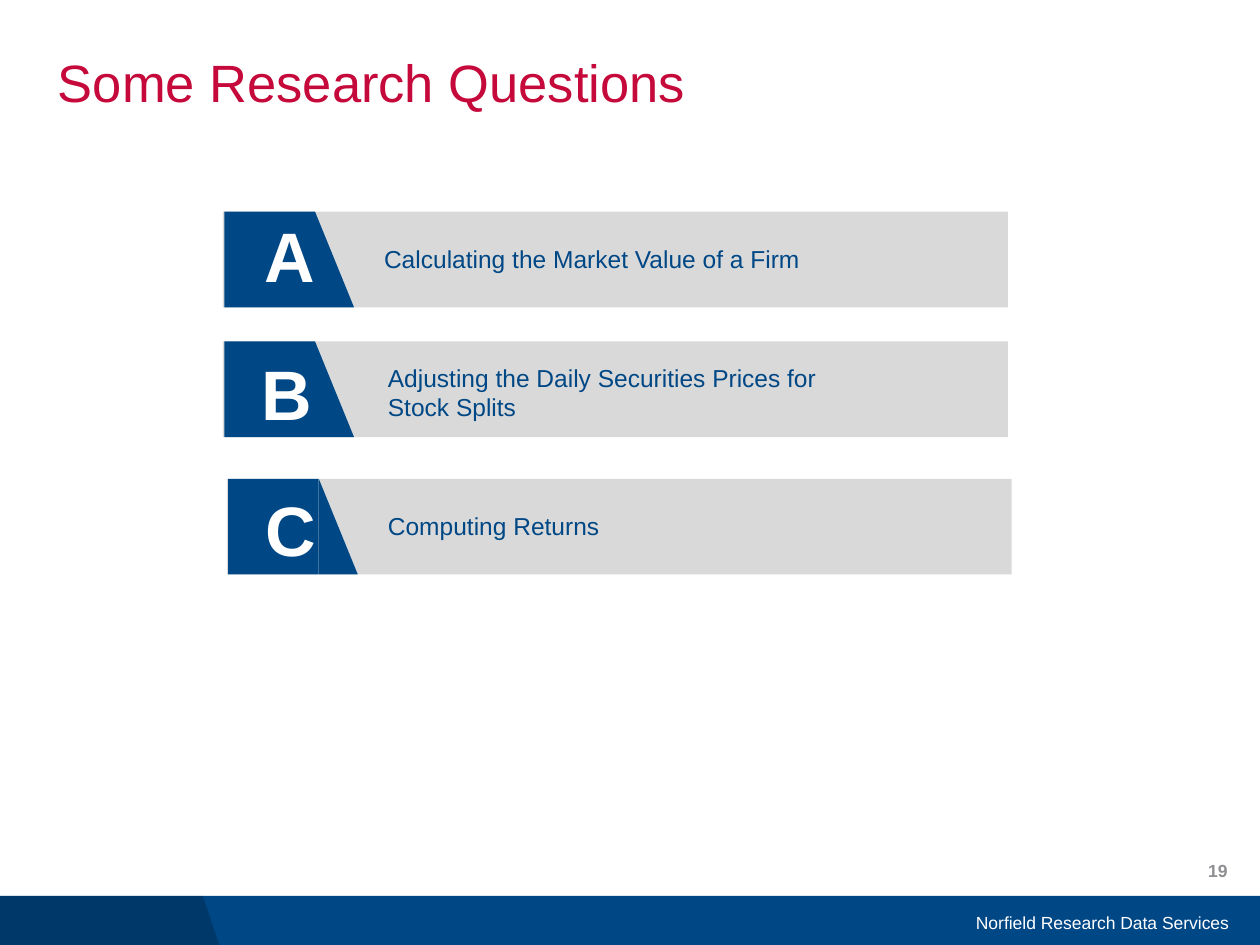
from lxml.etree import SubElement
from pptx import Presentation
from pptx.dml.color import RGBColor
from pptx.enum.shapes import MSO_SHAPE as Shape
from pptx.enum.text import MSO_ANCHOR as Anchor, MSO_AUTO_SIZE as AutoSize, PP_ALIGN as Align
from pptx.oxml.ns import qn
from pptx.util import Inches, Pt

TITLE = "Some Research Questions"
FOOTER = "Norfield Research Data Services"
PAGE_NUMBER = "19"
QUESTIONS = [
    {"letter": "A", "text": "Calculating the Market Value of a Firm",
     "bar": (1.77, 1.68), "letter_at": (2, 1.64), "text_box": (2.95, 1.89, 6.14, 0.34)},
    {"letter": "B", "text": "Adjusting the Daily Securities Prices for Stock Splits",
     "bar": (1.77, 2.71), "letter_at": (1.98, 2.73), "text_box": (2.98, 2.83, 3.89, 0.57)},
    {"letter": "C", "text": "Computing Returns",
     "bar": (1.8, 3.8), "letter_at": (2.01, 3.81), "text_box": (2.98, 4.01, 4.89, 0.34)},
]
THEME = {
    "font": "Arial",
    "blue": "004785", "red": "C5093B", "bar": "D9D9D9",
    "white": "FFFFFF", "gray": "8F8F93", "black": "000000",
    "title": 30, "letter": 40, "body": 14, "small": 10,
}
SLIDE_WIDTH, SLIDE_HEIGHT = 10, 7.5
FOOTER_TOP = 7.11
BAR_WIDTH, BAR_HEIGHT = 6.23, 0.76
TAB_OFFSET, TAB_WIDTH, SLANT_WIDTH = 0.01, 0.72, 0.31


def paint(shape, color):
    shape.shadow.inherit = False
    shape.fill.solid()
    shape.fill.fore_color.rgb = RGBColor.from_string(THEME[color])
    shape.line.fill.background()


def add_block(shapes, kind, box, color):
    shape = shapes.add_shape(kind, *map(Inches, box))
    paint(shape, color)
    return shape


def style(paragraph, size, color, bold=False, align=Align.LEFT):
    paragraph.alignment = align
    font = paragraph.font
    font.name, font.size, font.bold = THEME["font"], Pt(THEME[size]), bold
    font.color.rgb = RGBColor.from_string(THEME[color])


def add_text(shapes, text, box, size, color, bold=False, align=Align.LEFT, anchor=Anchor.TOP):
    frame = shapes.add_textbox(*map(Inches, box)).text_frame
    frame.word_wrap = True
    frame.vertical_anchor = anchor
    frame.text = text
    style(frame.paragraphs[0], size, color, bold, align)


def add_title(slide):
    title = slide.shapes.title
    title.left, title.top, title.width, title.height = map(Inches, (0.46, 0.4, 8.62, 0.56))
    frame = title.text_frame
    frame.text = TITLE
    frame.auto_size = AutoSize.NONE
    frame.vertical_anchor = Anchor.TOP
    frame.margin_left = frame.margin_right = 0
    frame.paragraphs[0].line_spacing = 0.9
    style(frame.paragraphs[0], "title", "red")


def add_footer(shapes):
    height = SLIDE_HEIGHT - FOOTER_TOP
    add_block(shapes, Shape.RECTANGLE, (0, FOOTER_TOP, SLIDE_WIDTH, height), "blue")
    builder = shapes.build_freeform(0, Inches(FOOTER_TOP))
    corners = [(1.61, FOOTER_TOP), (1.74, SLIDE_HEIGHT), (0, SLIDE_HEIGHT)]
    builder.add_line_segments([(Inches(x), Inches(y)) for x, y in corners], close=True)
    shade = builder.convert_to_shape()
    paint(shade, "black")
    color = shade.fill._xPr.find(qn("a:solidFill"))[0]
    SubElement(color, qn("a:alpha"), val="20000")
    for text, box, ink, bold in [
        (FOOTER, (6.47, 7.12, 3.38, 0.4), "white", False),
        (PAGE_NUMBER, (7.59, 6.71, 2.25, 0.4), "gray", True),
    ]:
        add_text(shapes, text, box, "small", ink, bold, Align.RIGHT, Anchor.MIDDLE)


def add_question(shapes, question):
    group = shapes.add_group_shape().shapes
    left, top = question["bar"]
    tab_left = left + TAB_OFFSET
    add_block(group, Shape.RECTANGLE, (left, top, BAR_WIDTH, BAR_HEIGHT), "bar")
    add_block(group, Shape.RECTANGLE, (tab_left, top, TAB_WIDTH, BAR_HEIGHT), "blue")
    slant = add_block(group, Shape.ISOSCELES_TRIANGLE,
                      (tab_left + TAB_WIDTH, top, SLANT_WIDTH, BAR_HEIGHT), "blue")
    slant.adjustments[0] = 0
    add_text(group, question["letter"], (*question["letter_at"], 0.59, 0.77),
             "letter", "white", bold=True)
    add_text(group, question["text"], question["text_box"], "body", "blue")


def main():
    presentation = Presentation()
    presentation.slide_width = Inches(SLIDE_WIDTH)
    presentation.slide_height = Inches(SLIDE_HEIGHT)
    slide = presentation.slides.add_slide(presentation.slide_layouts[5])
    add_footer(slide.shapes)
    add_title(slide)
    for question in QUESTIONS:
        add_question(slide.shapes, question)
    presentation.save("out.pptx")


if __name__ == "__main__":
    main()
